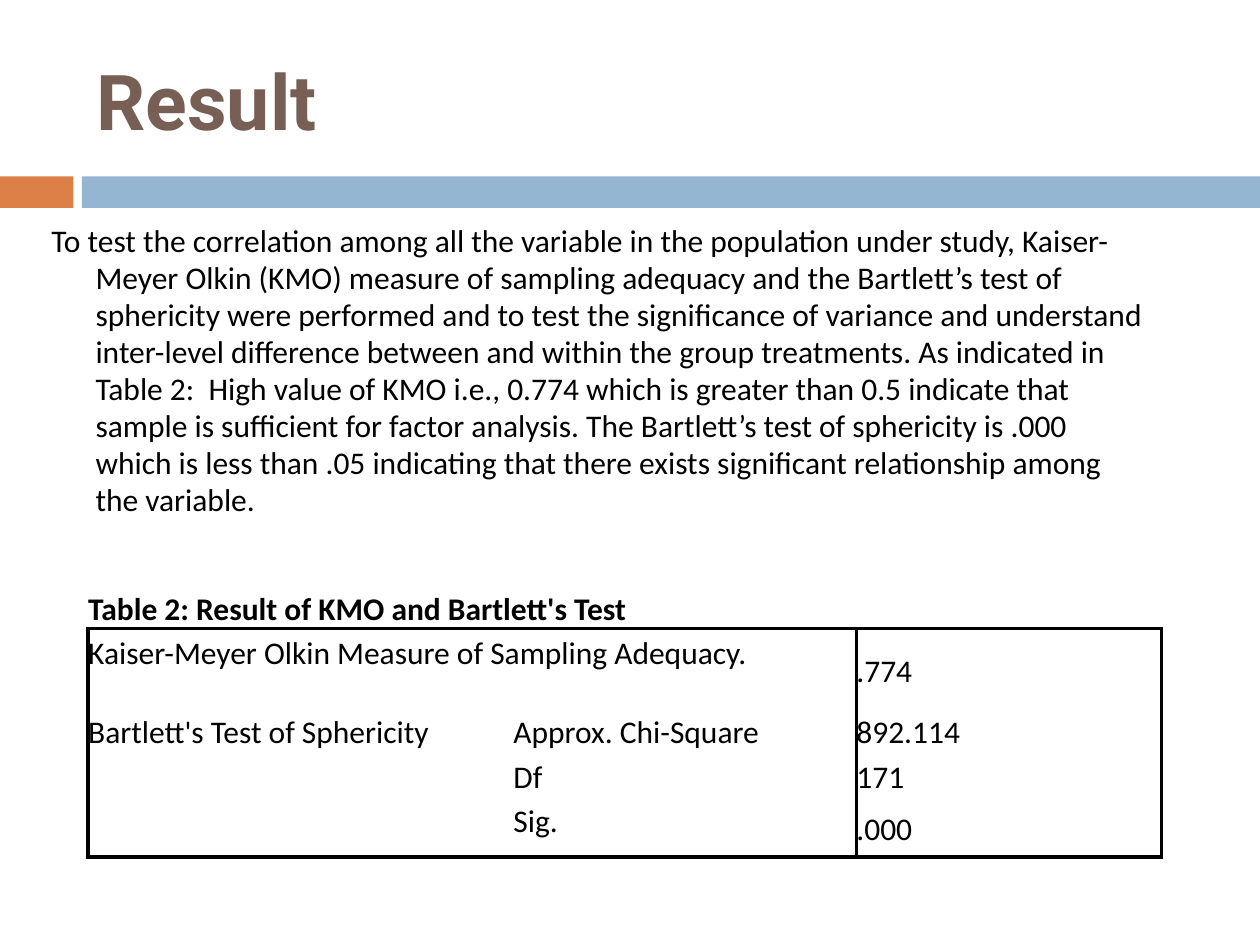
from dataclasses import dataclass

from lxml import etree
from pptx import Presentation
from pptx.dml.color import RGBColor
from pptx.enum.shapes import MSO_SHAPE
from pptx.enum.text import MSO_ANCHOR
from pptx.oxml.ns import qn
from pptx.slide import Slide
from pptx.table import Table, _Cell
from pptx.text.text import _Paragraph
from pptx.util import Pt

RECTANGLE = MSO_SHAPE.RECTANGLE
TOP, MIDDLE, BOTTOM = MSO_ANCHOR.TOP, MSO_ANCHOR.MIDDLE, MSO_ANCHOR.BOTTOM

COLORS = {
    "orange": "DD8047",
    "blue": "94B6D2",
    "brown": "775F55",
    "black": "000000",
    "white": "FFFFFF",
}
BORDER_WIDTH = Pt(2.25)
COLUMN_WIDTHS = (243, 196, 174.4)
ROW_HEIGHTS = (61.2, 45.4, 25.2, 25.2, 34.6)
LAST_ROW = len(ROW_HEIGHTS) - 1

BODY = (
    "To test the correlation among all the variable in the population under study, "
    "Kaiser-Meyer Olkin (KMO) measure of sampling adequacy and the Bartlett’s test of "
    "sphericity were performed and to test the significance of variance and understand "
    "inter-level difference between and within the group treatments. As indicated in "
    "Table 2:  High value of KMO i.e., 0.774 which is greater than 0.5 indicate that "
    "sample is sufficient for factor analysis. The Bartlett’s test of sphericity is .000 "
    "which is less than .05 indicating that there exists significant relationship among "
    "the variable."
)


@dataclass
class Band:
    left: float
    width: float
    color: str


@dataclass
class TextBlock:
    text: str
    left: float
    top: float
    width: float
    height: float
    font: str
    size: float
    color: str
    bold: bool = False
    anchor: MSO_ANCHOR = TOP
    hanging: float = 0
    line_spacing: float = 1


@dataclass
class TableEntry:
    row: int
    column: int
    text: str
    anchor: MSO_ANCHOR = TOP
    bold: bool = False
    rows: int = 1
    columns: int = 1


BANDS = (Band(0, 42, "orange"), Band(46.8, 673.2, "blue"))
BLOCKS = (
    TextBlock("Result", 48.2, 18, 642.2, 77.8, "Roboto", 44, "brown", True, MIDDLE),
    TextBlock(BODY, 22.3, 123.8, 642.2, 354.2, "Calibri", 18, "black",
              hanging=25.2, line_spacing=0.98),
)
ENTRIES = (
    TableEntry(0, 0, "Table 2: Result of KMO and Bartlett's Test", BOTTOM, True, columns=3),
    TableEntry(1, 0, "Kaiser-Meyer Olkin Measure of Sampling Adequacy.", columns=2),
    TableEntry(1, 2, ".774", MIDDLE),
    TableEntry(2, 0, "Bartlett's Test of Sphericity", rows=3),
    TableEntry(2, 1, "Approx. Chi-Square"),
    TableEntry(2, 2, "892.114", MIDDLE),
    TableEntry(3, 1, "Df"),
    TableEntry(3, 2, "171", MIDDLE),
    TableEntry(4, 1, "Sig."),
    TableEntry(4, 2, ".000", MIDDLE),
)


def rgb(name: str) -> RGBColor:
    return RGBColor.from_string(COLORS[name])


def style_paragraph(para: _Paragraph, font: str, size: float, color: str, bold: bool) -> None:
    for span in para.runs:
        span.font.name = font
        span.font.size = Pt(size)
        span.font.bold = bold
        span.font.color.rgb = rgb(color)


def draw_band(page: Slide, band: Band) -> None:
    box = page.shapes.add_shape(RECTANGLE, Pt(band.left), Pt(100.8), Pt(band.width), Pt(18))
    box.shadow.inherit = False
    box.fill.solid()
    box.fill.fore_color.rgb = rgb(band.color)
    box.line.fill.background()


def draw_text(page: Slide, block: TextBlock) -> None:
    box = page.shapes.add_textbox(
        Pt(block.left), Pt(block.top), Pt(block.width), Pt(block.height)
    )
    frame = box.text_frame
    frame.word_wrap = True
    frame.vertical_anchor = block.anchor
    frame.text = block.text
    para = frame.paragraphs[0]
    para.line_spacing = block.line_spacing
    if block.hanging:
        properties = para._p.get_or_add_pPr()
        properties.set("marL", str(Pt(block.hanging)))
        properties.set("indent", str(-Pt(block.hanging)))
    style_paragraph(para, block.font, block.size, block.color, block.bold)


def set_borders(cell: _Cell, row: int, column: int) -> None:
    last_row = row + cell.span_height - 1 if cell.is_merge_origin else row
    last_column = column + cell.span_width - 1 if cell.is_merge_origin else column
    below_caption = row > 0
    sides = {
        "a:lnL": below_caption and column in (0, 2),
        "a:lnR": below_caption and last_column in (1, 2),
        "a:lnT": row == 1,
        "a:lnB": last_row in (0, LAST_ROW),
    }
    properties = cell._tc.get_or_add_tcPr()
    for position, (tag, visible) in enumerate(sides.items()):
        line = etree.Element(qn(tag), w=str(BORDER_WIDTH))
        if visible:
            fill = etree.SubElement(line, qn("a:solidFill"))
            etree.SubElement(fill, qn("a:srgbClr"), val=COLORS["black"])
        else:
            etree.SubElement(line, qn("a:noFill"))
        properties.insert(position, line)


def fill_entry(table: Table, entry: TableEntry) -> None:
    cell = table.cell(entry.row, entry.column)
    if entry.rows * entry.columns > 1:
        cell.merge(table.cell(entry.row + entry.rows - 1, entry.column + entry.columns - 1))
    cell.text_frame.text = entry.text
    cell.vertical_anchor = entry.anchor
    para = cell.text_frame.paragraphs[0]
    para.line_spacing = 1.15
    style_paragraph(para, "Calibri", 18, "black", entry.bold)


def draw_table(page: Slide) -> None:
    table = page.shapes.add_table(
        len(ROW_HEIGHTS), len(COLUMN_WIDTHS), Pt(50.4), Pt(298.1),
        Pt(sum(COLUMN_WIDTHS)), Pt(sum(ROW_HEIGHTS)),
    ).table
    table.first_row = False
    table.horz_banding = False
    for column, width in zip(table.columns, COLUMN_WIDTHS):
        column.width = Pt(width)
    for row, height in zip(table.rows, ROW_HEIGHTS):
        row.height = Pt(height)
    for entry in ENTRIES:
        fill_entry(table, entry)
    for row in range(len(ROW_HEIGHTS)):
        for column in range(len(COLUMN_WIDTHS)):
            cell = table.cell(row, column)
            cell.margin_left = cell.margin_right = Pt(0)
            cell.margin_top = cell.margin_bottom = Pt(0)
            cell.fill.solid()
            cell.fill.fore_color.rgb = rgb("white")
            set_borders(cell, row, column)


def main() -> None:
    deck = Presentation()
    deck.slide_width, deck.slide_height = Pt(720), Pt(540)
    page = deck.slides.add_slide(deck.slide_layouts[6])
    for band in BANDS:
        draw_band(page, band)
    for block in BLOCKS:
        draw_text(page, block)
    draw_table(page)
    deck.save("out.pptx")


if __name__ == "__main__":
    main()
